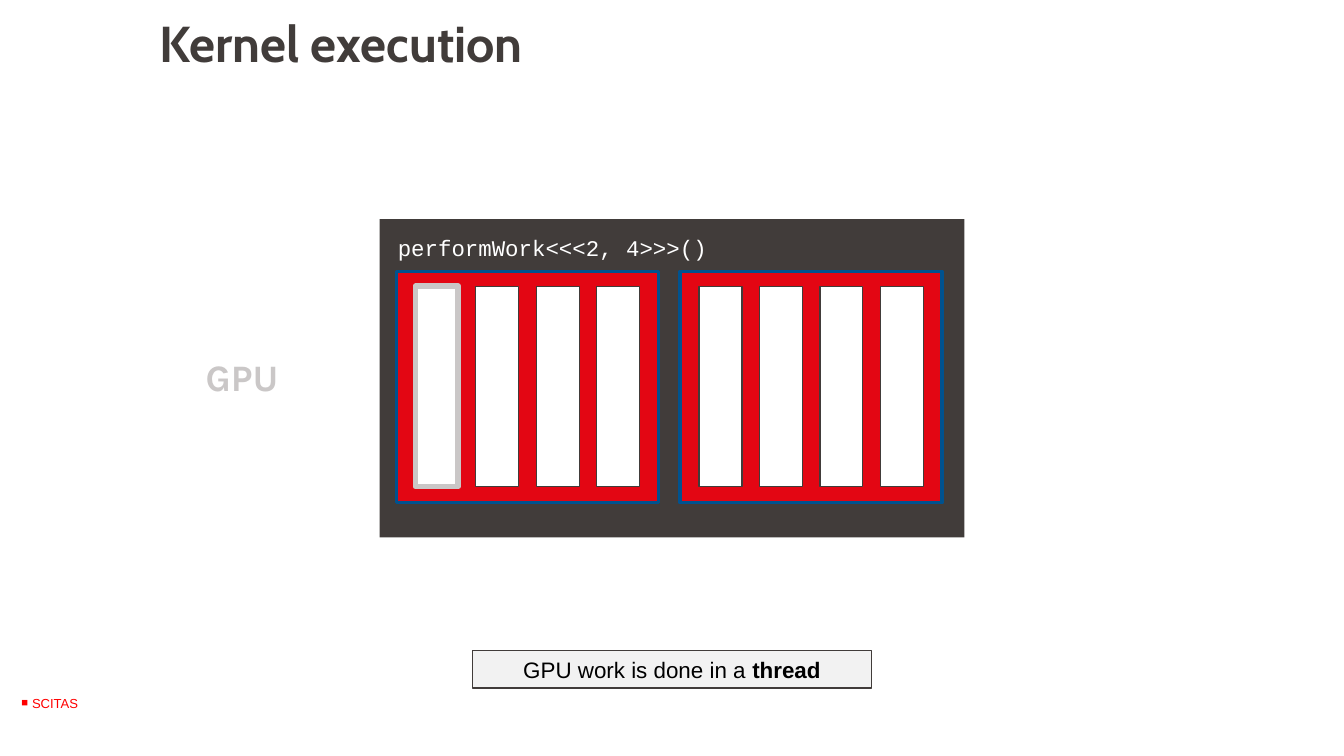
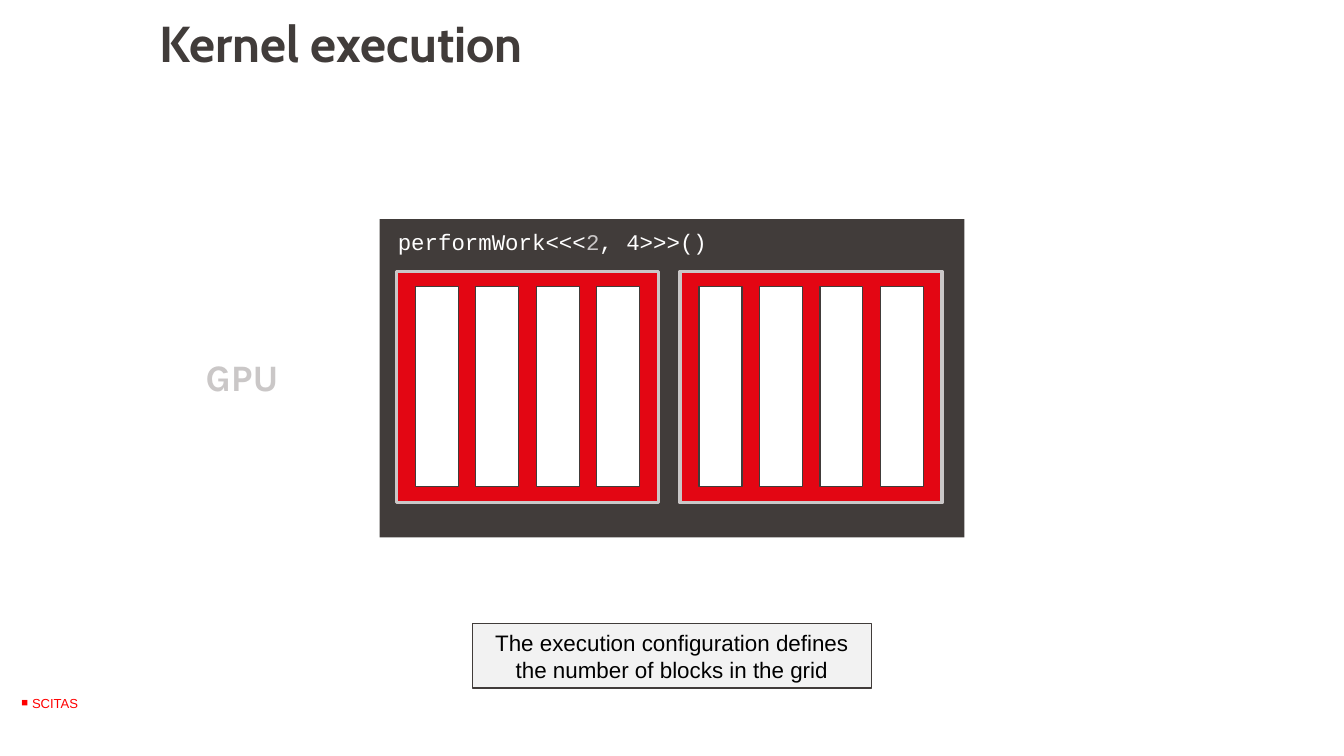
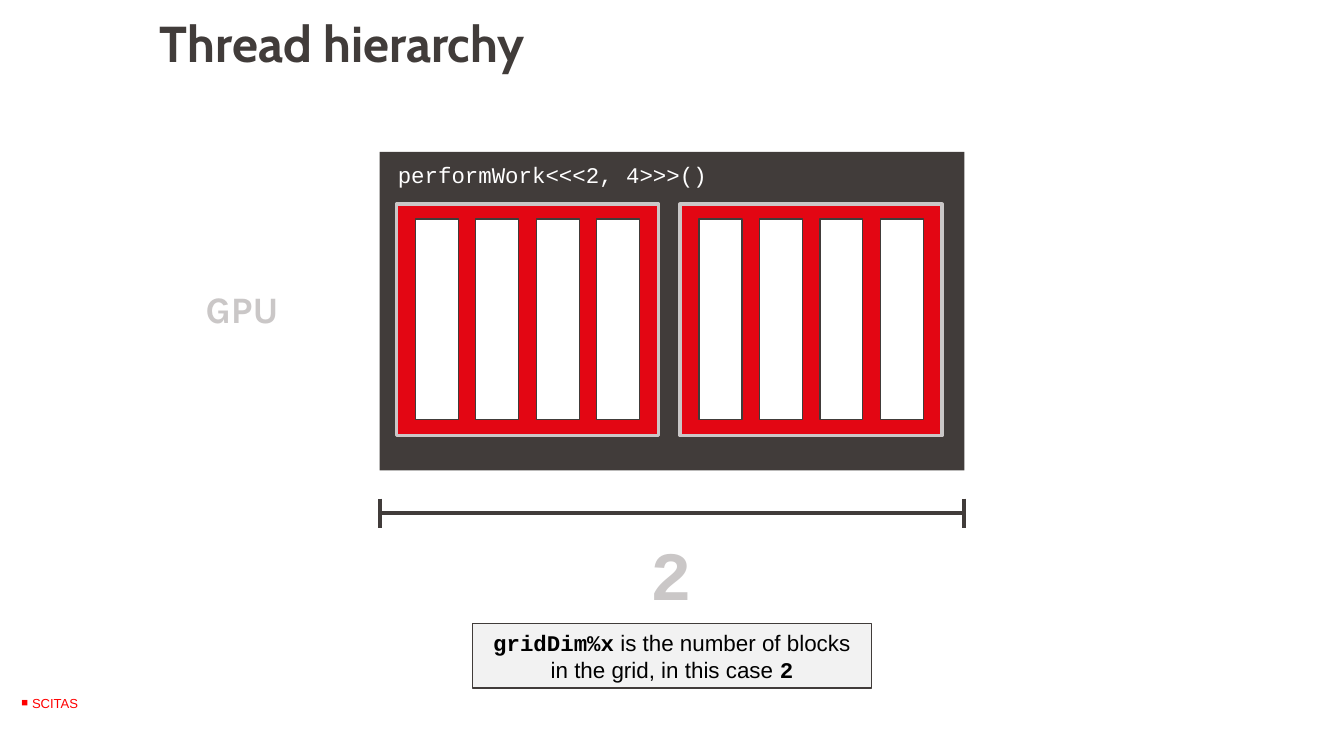
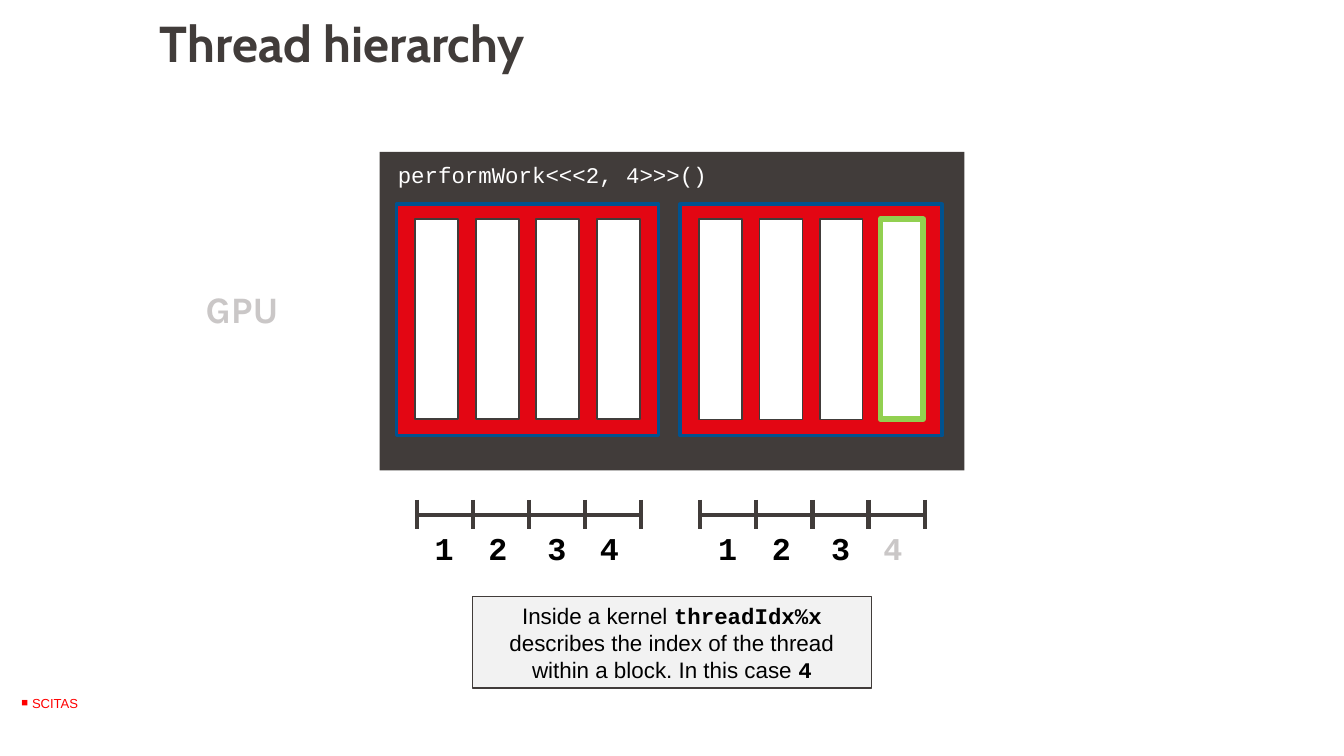
from dataclasses import dataclass, field

from lxml.etree import SubElement
from pptx import Presentation
from pptx.dml.color import RGBColor
from pptx.enum.shapes import MSO_CONNECTOR, MSO_SHAPE
from pptx.enum.text import MSO_ANCHOR, PP_ALIGN
from pptx.oxml.ns import qn
from pptx.util import Inches, Pt

DARK = RGBColor(0x41, 0x3C, 0x3A)
RED = RGBColor(0xE3, 0x06, 0x13)
FOOTER_RED = RGBColor(0xFF, 0x00, 0x00)
BLUE = RGBColor(0x00, 0x52, 0x8F)
GREEN = RGBColor(0x92, 0xD0, 0x50)
GREY = RGBColor(0xCA, 0xC7, 0xC7)
PALE = RGBColor(0xF2, 0xF2, 0xF2)
WHITE = RGBColor(0xFF, 0xFF, 0xFF)
BLACK = RGBColor(0x00, 0x00, 0x00)

SANS, MONO, TITLE_FONT, LABEL_FONT = "Arial", "Courier New", "Cabin", "Karla"
INSETS = (0.08, 0.04, 0.08, 0.04)

SLIDE_WIDTH = 10
GRID_WIDTH, GRID_HEIGHT = 4.35, 2.37
GRID_LEFT = (SLIDE_WIDTH - GRID_WIDTH) / 2
BLOCK_LEFT, BLOCK_STEP, BLOCK_COUNT = 2.95, 2.11, 2
THREAD_LEFT, THREAD_STEP, THREAD_COUNT = 3.09, 0.45, 4
CAPTION_WIDTH, CAPTION_BOTTOM, CAPTION_LINE = 2.97, 5.12, 0.2
INDEX_OFFSETS = (0, 0.4, 0.84, 1.23)


@dataclass(frozen=True)
class Run:
    text: str
    bold: bool | None = None
    font: str | None = None
    color: RGBColor | None = None


@dataclass(frozen=True)
class TextStyle:
    size: float
    font: str
    color: RGBColor
    bold: bool = False
    align: PP_ALIGN = PP_ALIGN.LEFT
    anchor: MSO_ANCHOR = MSO_ANCHOR.MIDDLE
    insets: tuple[float, ...] = INSETS
    spacing: float = 1.0


@dataclass(frozen=True)
class KernelSlide:
    title: str
    grid_top: float
    block_line: RGBColor
    caption: list[Run]
    caption_lines: int
    code: list[Run] = field(default_factory=lambda: [Run("performWork<<<2, 4>>>()")])
    code_offset: float = 0.03
    marked_thread: tuple[int, int] | None = None
    mark_color: RGBColor = GREY
    first_block_line: float = 0.75


TITLE = TextStyle(27, TITLE_FONT, DARK, True, anchor=MSO_ANCHOR.TOP,
                  insets=(0.2, 0, 0.08, 0.05), spacing=0.9)
BULLET = TextStyle(6, SANS, FOOTER_RED, True, anchor=MSO_ANCHOR.TOP,
                   insets=(0.1, 0.17, 0.1, 0.03), spacing=0.9)
FOOTER = TextStyle(7, SANS, FOOTER_RED, insets=(0.1, 0.05, 0.1, 0.05))
GPU_LABEL = TextStyle(20, LABEL_FONT, GREY, True, anchor=MSO_ANCHOR.BOTTOM, spacing=0.9)
CODE = TextStyle(12, MONO, WHITE)
CAPTION = TextStyle(12, SANS, BLACK, align=PP_ALIGN.CENTER, anchor=MSO_ANCHOR.TOP)
BLOCK_TOTAL = TextStyle(37, MONO, GREY, True, PP_ALIGN.CENTER)
INDEX = TextStyle(17, MONO, BLACK, True, PP_ALIGN.CENTER)


def write(shape, runs: list[Run], style: TextStyle) -> None:
    frame = shape.text_frame
    frame.word_wrap = True
    frame.vertical_anchor = style.anchor
    (frame.margin_left, frame.margin_top,
     frame.margin_right, frame.margin_bottom) = map(Inches, style.insets)
    paragraph = frame.paragraphs[0]
    paragraph.alignment = style.align
    paragraph.line_spacing = style.spacing
    paragraph.font.size = Pt(style.size)
    paragraph.font.name = style.font
    paragraph.font.bold = style.bold
    paragraph.font.color.rgb = style.color
    for part in runs:
        run = paragraph.add_run()
        run.text = part.text
        if part.bold is not None:
            run.font.bold = part.bold
        if part.font:
            run.font.name = part.font
        if part.color:
            run.font.color.rgb = part.color


def add_text(shapes, box: tuple[float, ...], runs: list[Run], style: TextStyle) -> None:
    write(shapes.add_textbox(*map(Inches, box)), runs, style)


def add_rectangle(shapes, box: tuple[float, ...], fill: RGBColor,
                  line: RGBColor | None = None, line_width: float = 0.75):
    rectangle = shapes.add_shape(MSO_SHAPE.RECTANGLE, *map(Inches, box))
    rectangle.shadow.inherit = False
    rectangle.fill.solid()
    rectangle.fill.fore_color.rgb = fill
    if line is None:
        rectangle.line.fill.background()
    else:
        rectangle.line.color.rgb = line
        rectangle.line.width = Pt(line_width)
    return rectangle


def add_line(shapes, x1: float, y1: float, x2: float, y2: float) -> None:
    line = shapes.add_connector(MSO_CONNECTOR.STRAIGHT, *map(Inches, (x1, y1, x2, y2)))
    line.line.color.rgb = DARK
    line.line.width = Pt(2.25)
    SubElement(line._element.spPr, qn("a:effectLst"))


def add_scale(shapes, left: float, right: float, y: float, intervals: int) -> None:
    """Draw a horizontal line divided by evenly spaced ticks."""
    add_line(shapes, left, y, right, y)
    for tick in range(intervals + 1):
        x = left + (right - left) * tick / intervals
        add_line(shapes, x, y - 0.11, x, y + 0.11)


def add_grid(slide, content: KernelSlide) -> None:
    """Draw the kernel call with its blocks and their threads."""
    shapes = slide.shapes.add_group_shape().shapes
    top = content.grid_top
    add_rectangle(shapes, (GRID_LEFT, top, GRID_WIDTH, GRID_HEIGHT), DARK)
    code_box = (2.88, top + content.code_offset, 2.55, 0.28)
    write(add_rectangle(shapes, code_box, DARK), content.code, CODE)
    for block in range(BLOCK_COUNT):
        shift = block * BLOCK_STEP
        add_rectangle(shapes, (BLOCK_LEFT + shift, top + 0.39, 1.95, 1.72),
                      RED, content.block_line, 2)
        for thread in range(THREAD_COUNT):
            line, width = DARK, 0.75 if block else content.first_block_line
            if (block, thread) == content.marked_thread:
                line, width = content.mark_color, 3
            left = THREAD_LEFT + shift + thread * THREAD_STEP
            add_rectangle(shapes, (left, top + 0.5, 0.32, 1.49), WHITE, line, width)


def add_kernel_slide(presentation, content: KernelSlide):
    slide = presentation.slides.add_slide(presentation.slide_layouts[6])
    shapes = slide.shapes
    add_text(shapes, (0.06, 5.07, 0.31, 0.31), [Run("■")], BULLET)
    add_text(shapes, (0.14, 4.92, 0.56, 0.62), [Run("SCITAS")], FOOTER)
    add_grid(slide, content)
    height = 0.08 + CAPTION_LINE * content.caption_lines
    caption_box = ((SLIDE_WIDTH - CAPTION_WIDTH) / 2, CAPTION_BOTTOM - height,
                   CAPTION_WIDTH, height)
    write(add_rectangle(shapes, caption_box, PALE, DARK), content.caption, CAPTION)
    add_text(shapes, (1.45, content.grid_top + 0.99, 0.81, 0.39), [Run("GPU")], GPU_LABEL)
    add_text(shapes, (0.99, 0.14, 8.5, 1.17), [Run(content.title)], TITLE)
    return slide


def add_block_total(slide) -> None:
    scale = slide.shapes.add_group_shape().shapes
    add_scale(scale, GRID_LEFT, GRID_LEFT + GRID_WIDTH, 3.82, 1)
    add_text(slide.shapes, (4.71, 3.91, 0.57, 0.7), [Run("2")], BLOCK_TOTAL)


def add_thread_indices(slide, marked_thread: tuple[int, int]) -> None:
    for block in range(BLOCK_COUNT):
        shapes = slide.shapes.add_group_shape().shapes
        shift = block * BLOCK_STEP
        add_scale(shapes, 3.1 + shift, 4.77 + shift, 3.83, THREAD_COUNT)
        for thread, offset in enumerate(INDEX_OFFSETS):
            color = GREY if (block, thread) == marked_thread else BLACK
            add_text(shapes, (THREAD_LEFT + shift + offset, 3.89, 0.43, 0.37),
                     [Run(str(thread + 1), color=color)], INDEX)


def main() -> None:
    presentation = Presentation()
    presentation.slide_width = Inches(SLIDE_WIDTH)
    presentation.slide_height = Inches(SLIDE_WIDTH * 9 / 16)

    add_kernel_slide(presentation, KernelSlide(
        "Kernel execution", 1.63, BLUE,
        [Run("GPU work is done in a "), Run("thread", True)], 1,
        code_offset=0.07, marked_thread=(0, 0)))

    add_kernel_slide(presentation, KernelSlide(
        "Kernel execution", 1.63, GREY,
        [Run("The execution configuration defines the number of blocks in the grid")], 2,
        code=[Run("performWork<<<"), Run("2", color=GREY), Run(", 4>>>()")]))

    block_slide = add_kernel_slide(presentation, KernelSlide(
        "Thread hierarchy", 1.13, GREY,
        [Run("gridDim%x", True, MONO),
         Run(" is the number of blocks in the grid, in this case "),
         Run("2", True, MONO)], 2))
    add_block_total(block_slide)

    last_thread = (BLOCK_COUNT - 1, THREAD_COUNT - 1)
    thread_slide = add_kernel_slide(presentation, KernelSlide(
        "Thread hierarchy", 1.13, BLUE,
        [Run("Inside a kernel "), Run("threadIdx%x", True, MONO),
         Run(" describes the index of the thread within a block. In this case "),
         Run("4", True, MONO)], 3,
        marked_thread=last_thread, mark_color=GREEN, first_block_line=1))
    add_thread_indices(thread_slide, last_thread)

    presentation.save("out.pptx")


if __name__ == "__main__":
    main()
